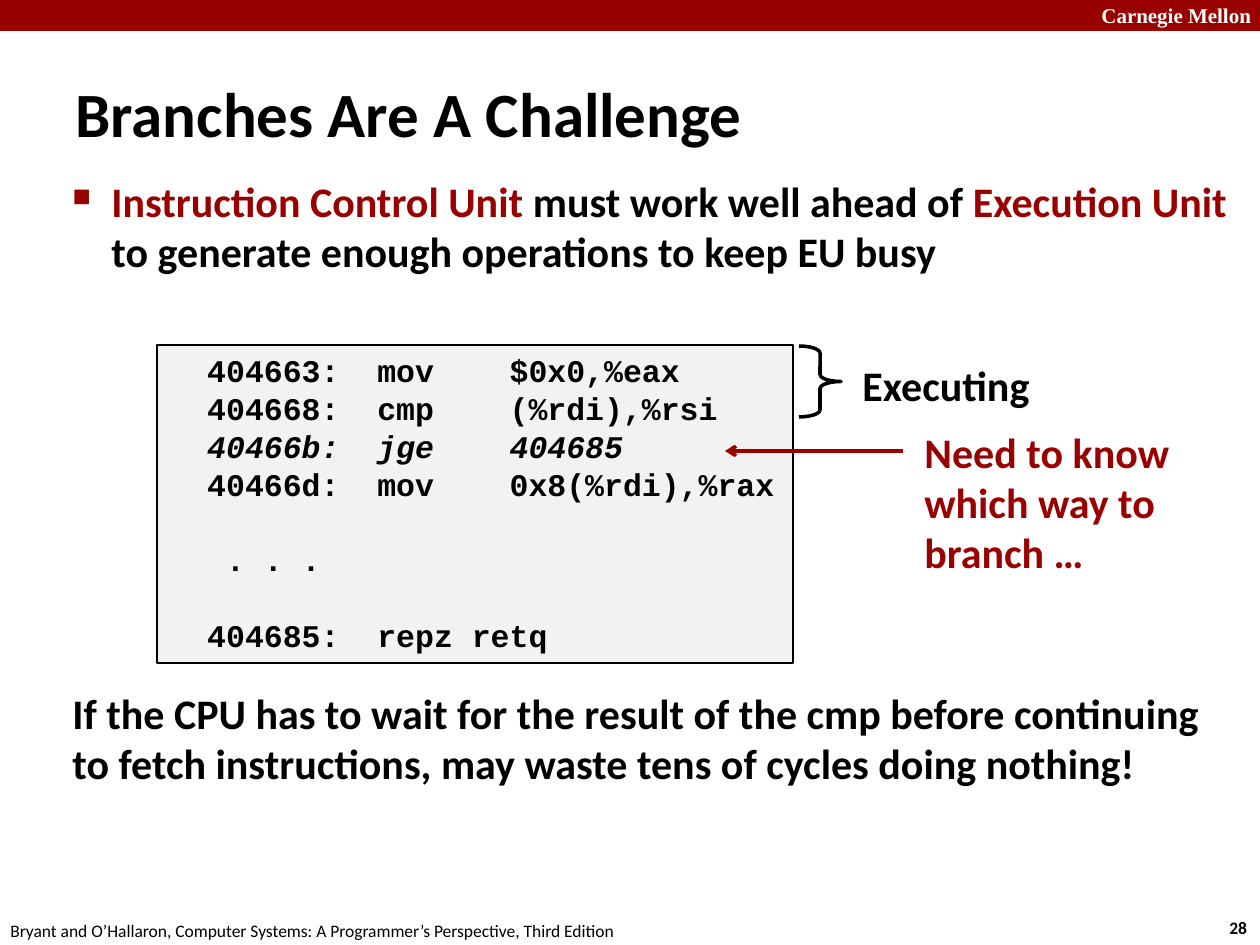
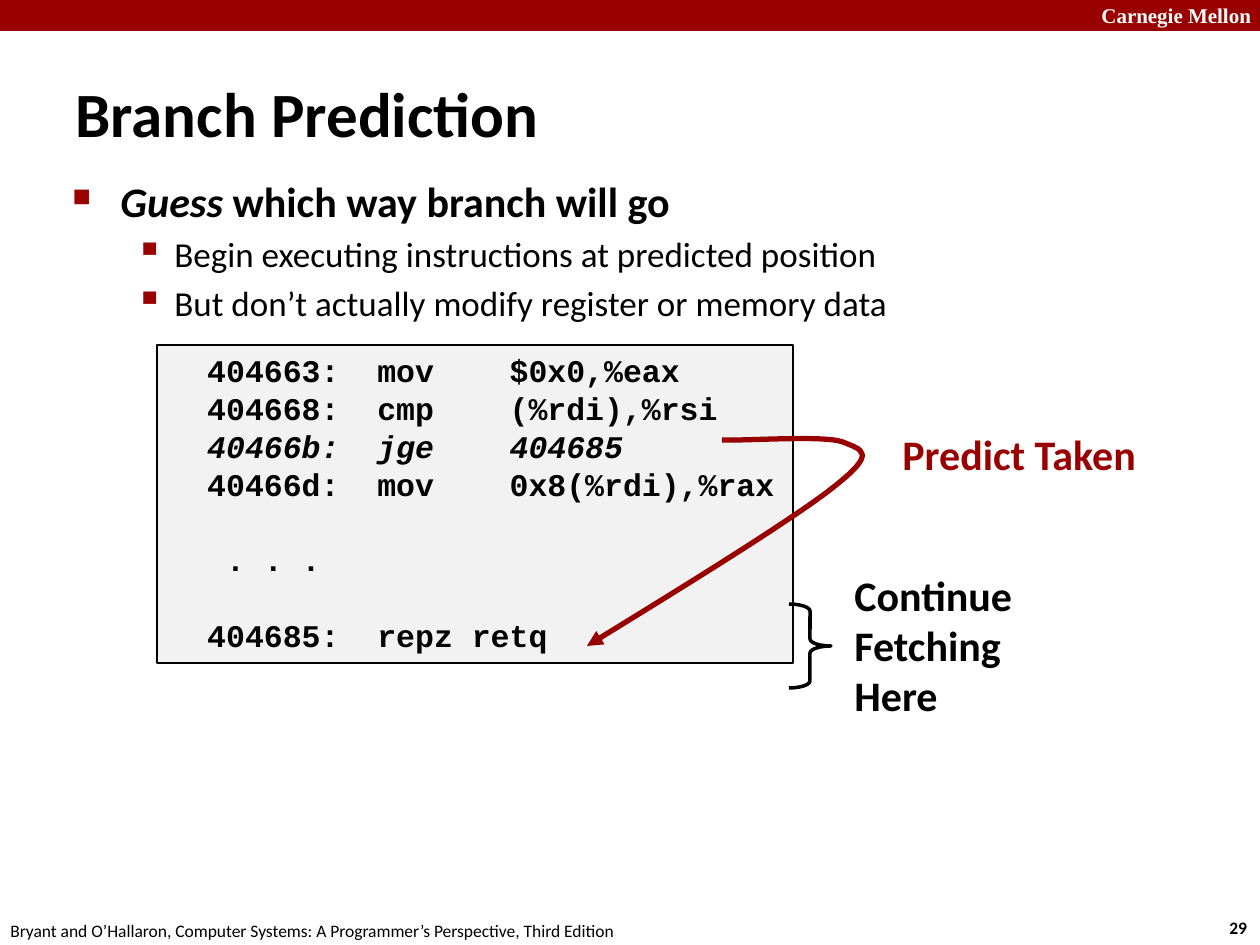
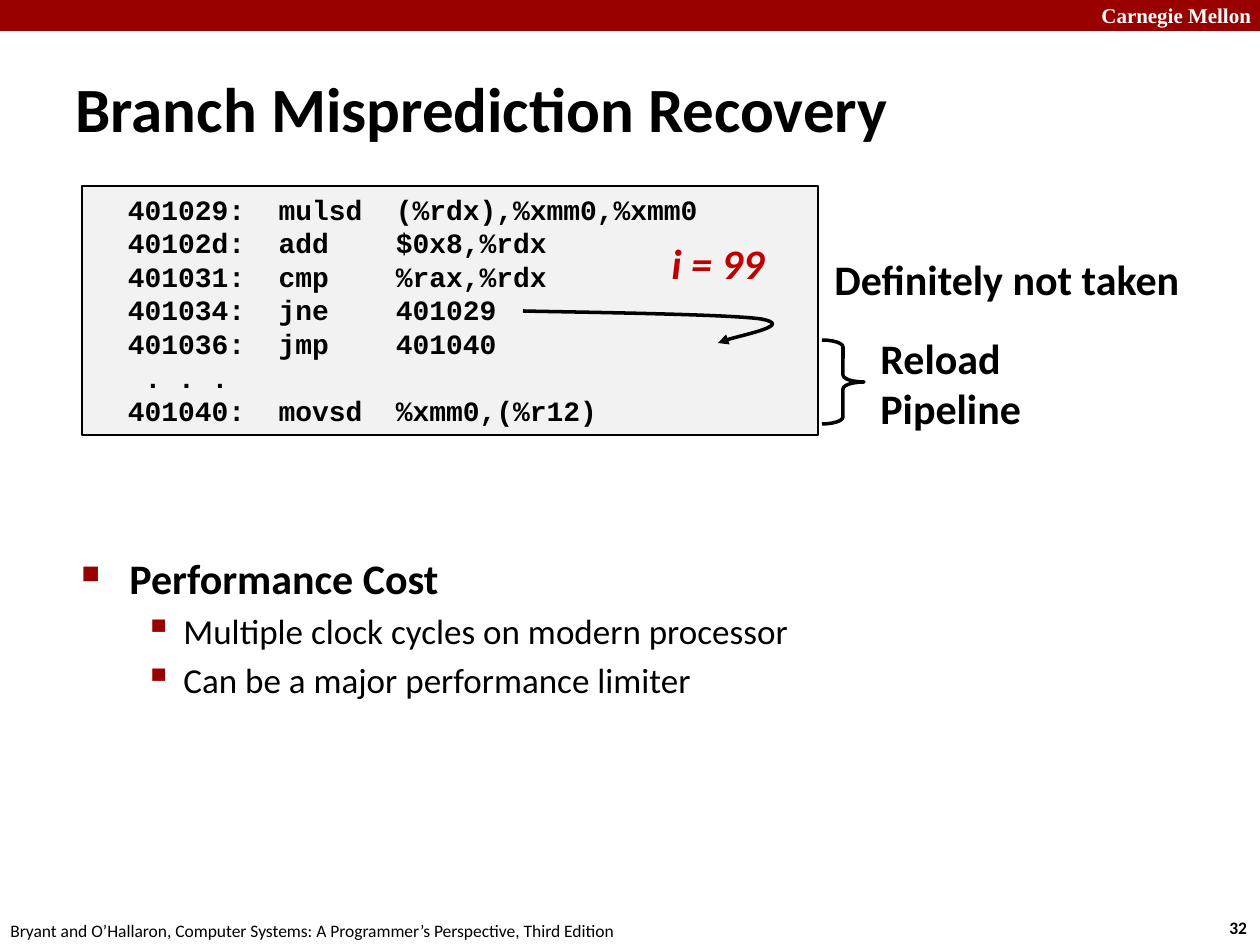
from lxml.etree import SubElement as Sub
from pptx import Presentation
from pptx.dml.color import RGBColor as RGB
from pptx.enum.shapes import MSO_CONNECTOR as Link, MSO_SHAPE as Shape
from pptx.enum.text import MSO_ANCHOR as Anchor, PP_ALIGN as Align
from pptx.oxml.ns import qn
from pptx.util import Emu, Pt

SCALE = 914400 / 126
COLORS = {"red": "990000", "alert": "C00000", "ink": "000000",
          "paper": "FFFFFF", "panel": "F2F2F2"}
SANS, MONO, SERIF = "Calibri", "Courier New", "Times New Roman"
FOOTER = ("Bryant and O’Hallaron, Computer Systems: "
          "A Programmer’s Perspective, Third Edition")
BRANCH = [
    "  404663:  mov    $0x0,%eax",
    "  404668:  cmp    (%rdi),%rsi",
    "  40466b:  jge    404685",
    "  40466d:  mov    0x8(%rdi),%rax",
    "",
    "   . . .",
    "",
    "  404685:  repz retq",
]
LOOP = [
    "  401029:  mulsd  (%rdx),%xmm0,%xmm0",
    "  40102d:  add    $0x8,%rdx",
    "  401031:  cmp    %rax,%rdx",
    "  401034:  jne    401029",
    "  401036:  jmp    401040",
    "   . . .",
    "  401040:  movsd  %xmm0,(%r12)",
]
CODE_BOX = (157, 345, 636, 318)
LOOP_BOX = (82, 186, 736, 249)


def px(value):
    return Emu(round(value * SCALE))


def color(name):
    return RGB.from_string(COLORS[name])


def style(run, size, name="ink", bold=True, italic=False, face=SANS):
    font = run.font
    font.size, font.name = Pt(size), face
    font.bold, font.italic = bold, italic
    font.color.rgb = color(name)


def stroke(shape, name, width, arrow=None):
    shape.line.color.rgb = color(name)
    shape.line.width = Pt(width)
    if arrow:
        Sub(shape.line._get_or_add_ln(), qn("a:tailEnd"), type=arrow)


def preset(slide, kind, box, fill=None):
    shape = slide.shapes.add_shape(kind, *map(px, box))
    shape.shadow.inherit = False
    if fill:
        shape.fill.solid()
        shape.fill.fore_color.rgb = color(fill)
    else:
        shape.fill.background()
    return shape


def label(slide, box, text, size=24, **look):
    frame = slide.shapes.add_textbox(*map(px, box)).text_frame
    frame.text = text
    for para in frame.paragraphs:
        for run in para.runs:
            style(run, size, **look)
    return frame


def within(box, left, top, width, height):
    return box[0] + left, box[1] + top, width, height


def header(slide, title, number, box):
    band = preset(slide, Shape.RECTANGLE, (0, 0, 1260, 31), "red")
    band.line.fill.background()
    label(slide, (1089, -4, 180, 38), "Carnegie Mellon", 12,
          name="paper", face=SERIF)
    label(slide, (1217, 911, 47, 34), str(number), 10)
    label(slide, (-2, 914, 640, 34), FOOTER, 10, bold=False)
    head = slide.shapes.title
    head.left, head.top, head.width, head.height = map(px, box)
    frame = head.text_frame
    frame.text = title
    frame.vertical_anchor = Anchor.MIDDLE
    para = frame.paragraphs[0]
    para.alignment = Align.LEFT
    style(para.runs[0], 36)


def bullet(para, char, percent, margin, hang):
    props = para._p.get_or_add_pPr()
    props.set("marL", str(px(margin)))
    props.set("indent", str(-px(hang)))
    Sub(Sub(props, qn("a:buClr")), qn("a:srgbClr"), val=COLORS["red"])
    Sub(props, qn("a:buSzPct"), val=str(percent * 1000))
    Sub(props, qn("a:buChar"), char=char)


def outline(slide, box, lead, points=(), margin=48):
    frame = slide.shapes.add_textbox(*map(px, box)).text_frame
    frame.word_wrap = True
    para = frame.paragraphs[0]
    bullet(para, "■", 60, margin, margin)
    for text, look in lead:
        if text == "\n":
            para.add_line_break()
            continue
        run = para.add_run()
        run.text = text
        style(run, 24, **look)
    for point in points:
        para = frame.add_paragraph()
        para.text = point
        bullet(para, "▪", 110, 102, 39)
        para.space_before = Pt(4)
        style(para.runs[0], 20, bold=False)


def listing(slide, box, lines, size, edge, slant=None):
    panel = preset(slide, Shape.RECTANGLE, box, "panel")
    stroke(panel, "ink", edge)
    frame = panel.text_frame
    frame.word_wrap = True
    frame.vertical_anchor = Anchor.TOP
    para, gap = frame.paragraphs[0], 0
    for line in lines:
        if not line:
            gap += size * 1.2
            continue
        if para.text:
            para = frame.add_paragraph()
        para.text = line
        para.alignment = Align.LEFT
        if gap:
            para.space_before = Pt(gap)
        gap = 0
        style(para.runs[0], size, italic=line == slant, face=MONO)


def brace(slide, box):
    shape = preset(slide, Shape.RIGHT_BRACE, box)
    shape.adjustments[0] = 0.167
    stroke(shape, "ink", 2)


def curve(slide, box, start, points, name, width):
    form = slide.shapes.build_freeform(*start, scale=SCALE)
    form.add_line_segments(points, close=False)
    shape = form.convert_to_shape(px(box[0]), px(box[1]))
    shape.shadow.inherit = False
    shape.fill.background()
    stroke(shape, name, width, "triangle")
    path = next(shape._element.iter(qn("a:path")))
    steps = path.findall(qn("a:lnTo"))
    for first in range(0, len(steps), 3):
        bend = Sub(path, qn("a:cubicBezTo"))
        for step in steps[first:first + 3]:
            bend.append(step[0])
            path.remove(step)


def arrow(slide, box, start, end):
    left, top = box[:2]
    line = slide.shapes.add_connector(
        Link.STRAIGHT, px(left + start[0]), px(top + start[1]),
        px(left + end[0]), px(top + end[1]))
    stroke(line, "red", 2, "arrow")
    Sub(line._element.spPr, qn("a:effectLst"))


def challenge(slide, box):
    header(slide, "Branches Are A Challenge", 28, (63, 73, 885, 79))
    outline(slide, (60, 169, 1188, 120), [
        ("Instruction Control Unit ", {"name": "red"}),
        ("must work well ahead of ", {}),
        ("Execution Unit", {"name": "red"}),
        ("\n", {}),
        ("to generate enough operations to keep EU busy", {}),
    ], margin=39)
    close = label(slide, (60, 681, 1188, 115),
                  "If the CPU has to wait for the result of the cmp before "
                  "continuing to fetch instructions, may waste tens of "
                  "cycles doing nothing!")
    close.word_wrap = True
    listing(slide, box, BRANCH, 18, 1.5, BRANCH[2])
    brace(slide, within(box, 642, 1, 42, 71))
    label(slide, within(box, 693, 8, 194, 63), "Executing")
    label(slide, within(box, 755, 75, 272, 165),
          "Need to know\vwhich way to\vbranch …", name="red")
    arrow(slide, box, (746, 106), (568, 106))


def predict(slide, box):
    header(slide, "Branch Prediction", 29, (63, 73, 885, 79))
    outline(slide, (60, 169, 1188, 165),
            [("Guess", {"italic": True}), (" which way branch will go", {})],
            ["Begin executing instructions at predicted position",
             "But don’t actually modify register or memory data"])
    listing(slide, box, BRANCH, 18, 1.5, BRANCH[2])
    label(slide, within(box, 733, 77, 261, 63), "Predict Taken", name="red")
    brace(slide, within(box, 632, 259, 42, 84))
    label(slide, within(box, 685, 218, 185, 165), "Continue\nFetching\vHere")
    curve(slide, box, (565, 95), [
        (590, 96), (667, 90), (686, 97),
        (705, 105), (721, 107), (678, 141),
        (636, 175), (472, 275), (430, 301)], "red", 3)


def recover(slide, box):
    header(slide, "Branch Misprediction Recovery", 32, (63, 68, 1041, 79))
    outline(slide, (69, 546, 1104, 189), [("Performance Cost", {})],
            ["Multiple clock cycles on modern processor",
             "Can be a major performance limiter"])
    listing(slide, box, LOOP, 16, 1)
    curve(slide, box, (441, 125), [
        (481, 126), (646, 128), (679, 133),
        (712, 139), (645, 152), (636, 157)], "ink", 2)
    label(slide, within(box, 577, 45, 118, 63), "i = 99",
          name="alert", italic=True)
    label(slide, within(box, 740, 61, 374, 63), "Definitely not taken")
    brace(slide, within(box, 740, 154, 42, 84))
    label(slide, within(box, 786, 140, 168, 115), "Reload\nPipeline")


def main():
    deck = Presentation()
    deck.slide_width, deck.slide_height = px(1260), px(945)
    for build, box in ((challenge, CODE_BOX), (predict, CODE_BOX),
                       (recover, LOOP_BOX)):
        build(deck.slides.add_slide(deck.slide_layouts[5]), box)
    deck.save("out.pptx")


if __name__ == "__main__":
    main()
